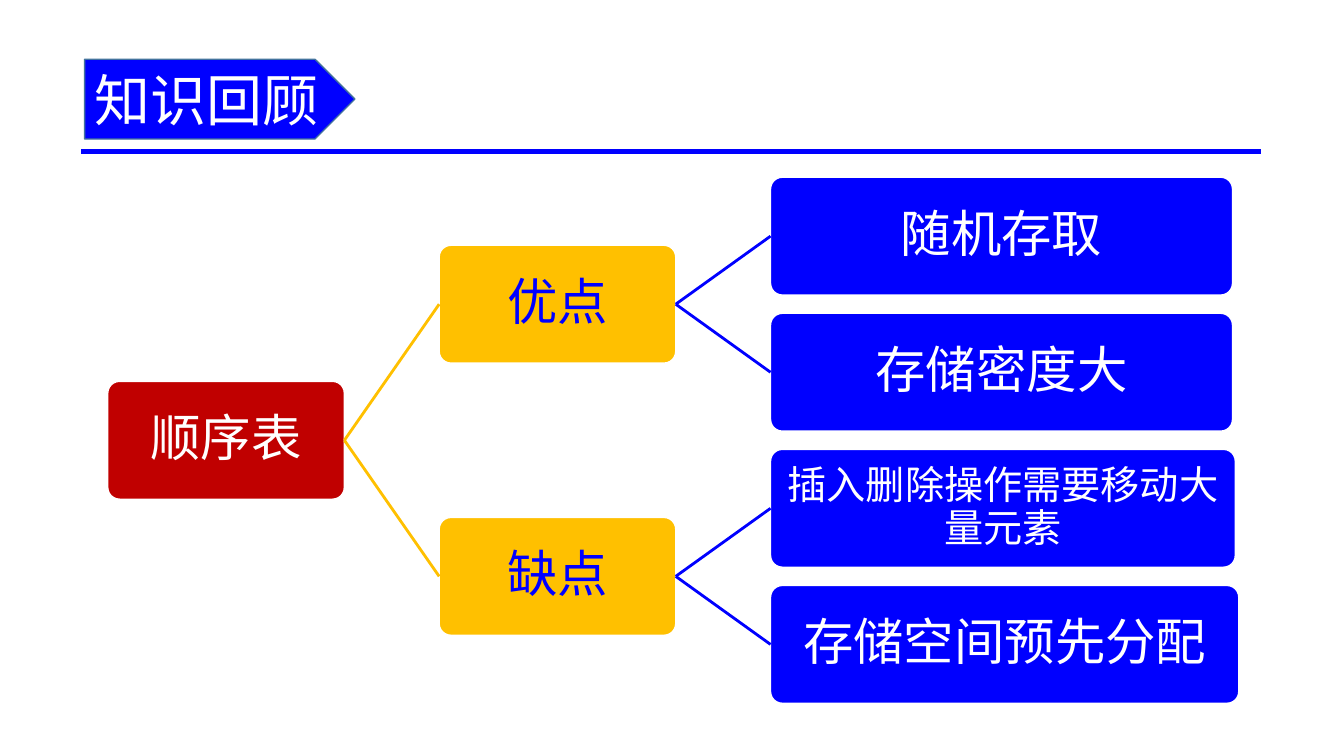
from pptx import Presentation
from pptx.dml.color import RGBColor
from pptx.enum.shapes import MSO_CONNECTOR as Connector, MSO_SHAPE as Shape
from pptx.enum.text import MSO_ANCHOR as Anchor, MSO_AUTO_SIZE as AutoSize, PP_ALIGN as Align
from pptx.oxml.ns import qn
from pptx.util import Pt
from lxml import etree

FONT = "Noto Sans CJK SC"
WHITE, BLUE, GOLD, RED = "FFFFFF", "0000FF", "FFC000", "C00000"
LEFT, TOP = 77, 126.6
COLUMN_PITCH, ROW_PITCH = 236.7, 97.2
NODE_WIDTH, NODE_HEIGHT = 169, 84.2


def color(hex_code):
    return RGBColor.from_string(hex_code)


def write_text(frame, text, size, text_color, align, inset):
    """Fill a text frame with one vertically centred paragraph."""
    frame.text = text
    frame.word_wrap = True
    frame.auto_size = AutoSize.NONE
    frame.vertical_anchor = Anchor.MIDDLE
    frame.margin_left = frame.margin_right = Pt(inset)
    frame.margin_top = frame.margin_bottom = Pt(2.4)
    para = frame.paragraphs[0]
    para.alignment = align
    para.line_spacing = 0.9
    span = para.runs[0]
    span.font.name = FONT
    span.font.size = Pt(size)
    span.font.color.rgb = color(text_color)
    east_asian = etree.SubElement(span.font._element, qn("a:ea"))
    east_asian.set("typeface", FONT)


deck = Presentation()
deck.slide_width, deck.slide_height = Pt(960), Pt(540)
page = deck.slides.add_slide(deck.slide_layouts[5])
shapes = page.shapes

# Heading: a pentagon banner behind the title
banner_place = Pt(60.5), Pt(42.3), Pt(193), Pt(57)
banner = shapes.add_shape(Shape.PENTAGON, *banner_place)
banner.shadow.inherit = False
banner.fill.solid()
banner.fill.fore_color.rgb = color(BLUE)
banner.line.color.rgb = color("43739E")
banner.line.width = Pt(1)

title = shapes.title
title.left, title.top, title.width, title.height = banner_place
write_text(title.text_frame, "知识回顾", 40, WHITE, Align.LEFT, 7.2)
title.text_frame.paragraphs[0].line_spacing = 1
shapes._spTree.append(title._element)

rule = shapes.add_connector(Connector.STRAIGHT, Pt(58), Pt(108.3), Pt(901), Pt(108.3))
rule.line.color.rgb = color(BLUE)
rule.line.width = Pt(3)
connectors = [rule]

# Tree: name, parent, column, row (in leaf rows), width, size, fill, text colour
nodes = [
    ("顺序表", None, 0, 1.5, NODE_WIDTH, 36, RED, WHITE),
    ("优点", "顺序表", 1, 0.5, NODE_WIDTH, 36, GOLD, BLUE),
    ("缺点", "顺序表", 1, 2.5, NODE_WIDTH, 36, GOLD, BLUE),
    ("随机存取", "优点", 2, 0, 330, 36, BLUE, WHITE),
    ("存储密度大", "优点", 2, 1, 330, 36, BLUE, WHITE),
    ("插入删除操作需要移动大量元素", "缺点", 2, 2, 332, 28, BLUE, WHITE),
    ("存储空间预先分配", "缺点", 2, 3, 334.5, 36, BLUE, WHITE),
]
boxes = {}
for name, parent, column, row, width, size, fill, text_color in nodes:
    box = shapes.add_shape(
        Shape.ROUNDED_RECTANGLE,
        Pt(LEFT + column * COLUMN_PITCH), Pt(TOP + row * ROW_PITCH),
        Pt(width), Pt(NODE_HEIGHT))
    box.adjustments[0] = 0.1
    box.shadow.inherit = False
    box.fill.solid()
    box.fill.fore_color.rgb = color(fill)
    box.line.color.rgb = color(WHITE)
    box.line.width = Pt(1)
    write_text(box.text_frame, name, size, text_color, Align.CENTER, 2.4)
    boxes[name] = box
    if parent:
        branch = shapes.add_connector(Connector.STRAIGHT, 0, 0, 0, 0)
        branch.begin_connect(boxes[parent], 3)
        branch.end_connect(box, 1)
        branch.line.color.rgb = color(fill)
        branch.line.width = Pt(2)
        connectors.append(branch)

for connector in connectors:
    etree.SubElement(connector._element.spPr, qn("a:effectLst"))

deck.save("out.pptx")
